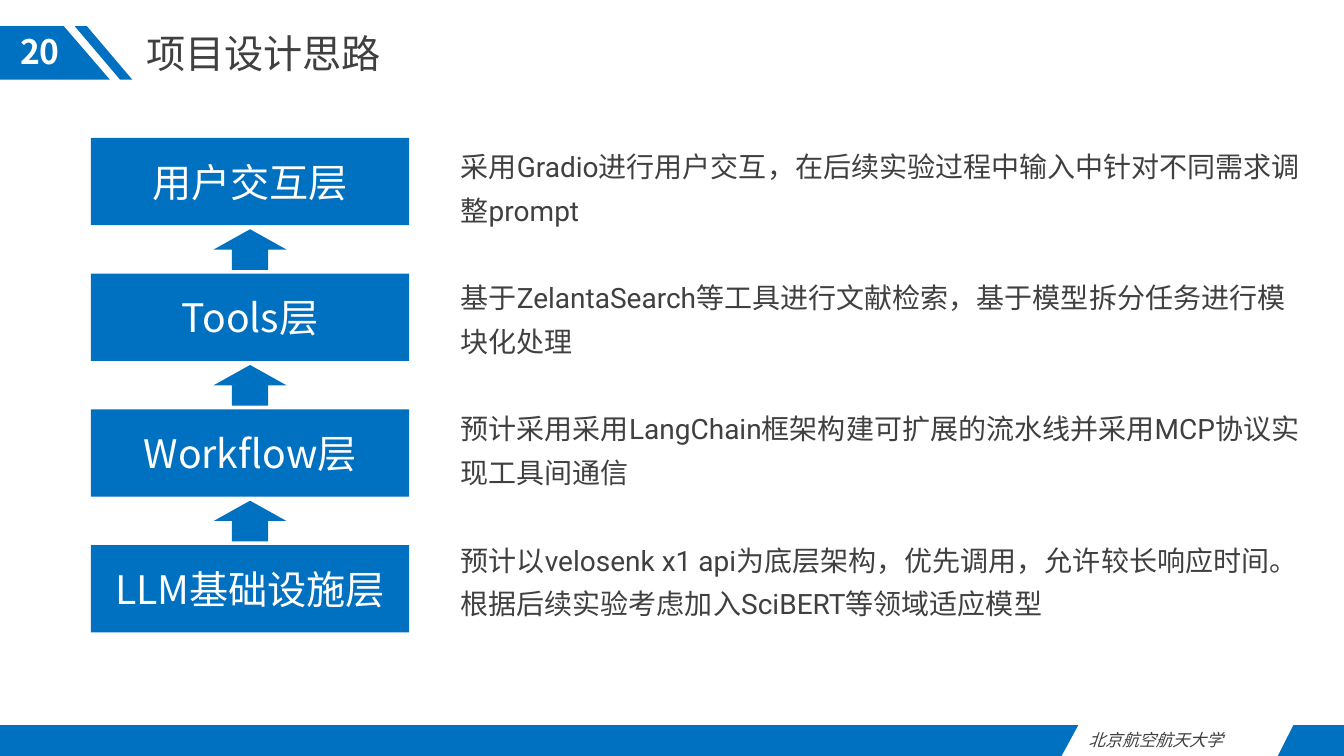
from dataclasses import dataclass

from pptx import Presentation
from pptx.dml.color import RGBColor
from pptx.enum.shapes import MSO_SHAPE as Shape
from pptx.enum.text import MSO_ANCHOR as Anchor, PP_ALIGN as Align
from pptx.util import Pt


@dataclass(frozen=True)
class Theme:
    blue: RGBColor = RGBColor(0x00, 0x70, 0xC0)
    dark: RGBColor = RGBColor(0x40, 0x40, 0x40)
    white: RGBColor = RGBColor(0xFF, 0xFF, 0xFF)
    head: int = 28
    page: int = 24
    body: int = 20
    foot: int = 12
    sans: str = "Noto Sans CJK SC"
    latin: str = "Roboto"
    title: str = "Arial"


THEME = Theme()

LAYERS = ["用户交互层", "Tools层", "Workflow层", "LLM基础设施层"]
NOTES = [
    "采用Gradio进行用户交互，在后续实验过程中输入中针对不同需求调整prompt",
    "基于ZelantaSearch等工具进行文献检索，基于模型拆分任务进行模块化处理",
    "预计采用采用LangChain框架构建可扩展的流水线并采用MCP协议实现工具间通信",
    "预计以velosenk x1 api为底层架构，优先调用，允许较长响应时间。"
    "根据后续实验考虑加入SciBERT等领域适应模型",
]
BANDS = [
    [(0, 18.6), (45.5, 18.6), (78.5, 56.9), (0, 56.9)],
    [(62, 18.6), (94.5, 56.9), (85.8, 56.9), (53.3, 18.6)],
    [(0, 517.9), (770.3, 517.9), (758.3, 540), (0, 540)],
    [(923.9, 517.9), (960, 517.9), (960, 540), (912.7, 540)],
]


def write(frame, lines, size=THEME.body, font=THEME.sans, color=THEME.dark,
          align=Align.LEFT, anchor=Anchor.TOP, bold=False, italic=False,
          pitch=None, gap=0):
    frame.word_wrap = True
    frame.vertical_anchor = anchor
    for i, line in enumerate(lines):
        para = frame.add_paragraph() if i else frame.paragraphs[0]
        para.alignment = align
        if pitch:
            para.line_spacing = Pt(pitch)
        if i and gap:
            para.space_before = Pt(gap)
        run = para.add_run()
        run.text = line
        run.font.name = font
        run.font.size = Pt(size)
        run.font.bold = bold
        run.font.italic = italic
        run.font.color.rgb = color


def label(slide, box, lines, **style):
    area = slide.shapes.add_textbox(*map(Pt, box))
    write(area.text_frame, lines, **style)


def paint(shape):
    shape.shadow.inherit = False
    shape.fill.solid()
    shape.fill.fore_color.rgb = THEME.blue
    shape.line.fill.background()
    return shape


def block(slide, kind, box):
    return paint(slide.shapes.add_shape(kind, *map(Pt, box)))


def band(slide, points):
    first, *rest = [(Pt(x), Pt(y)) for x, y in points]
    form = slide.shapes.build_freeform(*first)
    form.add_line_segments(rest, close=True)
    paint(form.convert_to_shape())


def stack(slide, left=65, top=98.5, width=227.3, height=62.4, step=96.95):
    for i, name in enumerate(LAYERS):
        y = top + i * step
        layer = block(slide, Shape.RECTANGLE, (left, y, width, height))
        write(layer.text_frame, [name], size=THEME.head, color=THEME.white,
              align=Align.CENTER, anchor=Anchor.MIDDLE)
        if i:
            middle = left + width / 2
            block(slide, Shape.UP_ARROW, (middle - 26, y - 31.7, 52, 29))


def main():
    deck = Presentation()
    deck.slide_width, deck.slide_height = Pt(960), Pt(540)
    slide = deck.slides.add_slide(deck.slide_layouts[6])
    for points in BANDS:
        band(slide, points)
    label(slide, (97.2, 17.3, 638, 41), ["项目设计思路"],
          size=THEME.head, font=THEME.title)
    label(slide, (0, 18.7, 56.9, 36), ["20"], size=THEME.page,
          color=THEME.white, align=Align.CENTER, bold=True)
    label(slide, (770.4, 517.7, 142.6, 21.6), ["北京航空航天大学"],
          size=THEME.foot, italic=True)
    label(slide, (322, 96, 620, 416), NOTES, font=THEME.latin,
          pitch=31.2, gap=31.3)
    stack(slide)
    deck.save("out.pptx")


if __name__ == "__main__":
    main()
